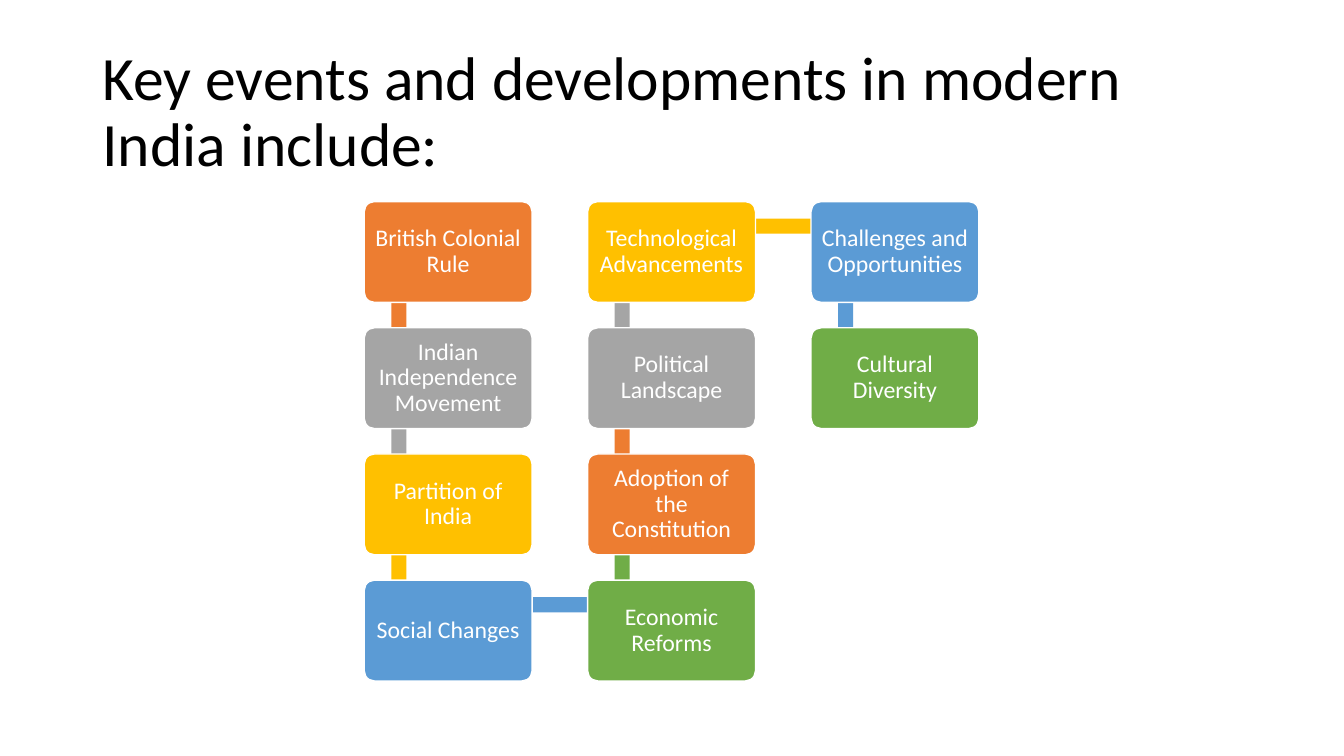
from dataclasses import dataclass

from pptx import Presentation
from pptx.dml.color import RGBColor
from pptx.enum.shapes import MSO_SHAPE
from pptx.enum.text import MSO_ANCHOR, MSO_AUTO_SIZE, PP_ALIGN
from pptx.slide import Slide
from pptx.text.text import TextFrame
from pptx.util import Cm, Pt

RECTANGLE = MSO_SHAPE.RECTANGLE
ROUNDED = MSO_SHAPE.ROUNDED_RECTANGLE
MIDDLE = MSO_ANCHOR.MIDDLE
NO_AUTOFIT = MSO_AUTO_SIZE.NONE
LEFT, CENTER = PP_ALIGN.LEFT, PP_ALIGN.CENTER

BLACK = RGBColor(0x00, 0x00, 0x00)
WHITE = RGBColor(0xFF, 0xFF, 0xFF)
ORANGE = RGBColor(0xED, 0x7D, 0x31)
GRAY = RGBColor(0xA5, 0xA5, 0xA5)
YELLOW = RGBColor(0xFF, 0xC0, 0x00)
BLUE = RGBColor(0x5B, 0x9B, 0xD5)
GREEN = RGBColor(0x70, 0xAD, 0x47)
EVENT_COLORS = (ORANGE, GRAY, YELLOW, BLUE, GREEN)

FONT = "Calibri"
HEADING = "Key events and developments in modern India include:"
EVENT_NAMES = (
    "British Colonial Rule",
    "Indian Independence Movement",
    "Partition of India",
    "Social Changes",
    "Economic Reforms",
    "Adoption of the Constitution",
    "Political Landscape",
    "Technological Advancements",
    "Challenges and Opportunities",
    "Cultural Diversity",
)

ROWS = 4
GRID_LEFT, GRID_TOP = Cm(9.18), Cm(5.08)
COLUMN_STEP, ROW_STEP = Cm(5.63), Cm(3.18)
BOX_WIDTH, BOX_HEIGHT = Cm(4.23), Cm(2.54)
BOX_INSET = Cm(0.17)
LINK_INDENT, LINK_DROP = Cm(0.87), Cm(0.62)
LINK_THICKNESS = Cm(0.38)


@dataclass(frozen=True)
class Event:
    name: str
    color: RGBColor
    column: int
    row: int

    @property
    def left(self) -> int:
        return GRID_LEFT + self.column * COLUMN_STEP

    @property
    def top(self) -> int:
        return GRID_TOP + self.row * ROW_STEP


def place_event(index: int, name: str) -> Event:
    column, step = divmod(index, ROWS)
    row = ROWS - 1 - step if column % 2 else step
    return Event(name, EVENT_COLORS[index % len(EVENT_COLORS)], column, row)


def write_text(frame: TextFrame, text: str, size: int,
               color: RGBColor, alignment: PP_ALIGN) -> None:
    frame.word_wrap = True
    frame.auto_size = NO_AUTOFIT
    frame.vertical_anchor = MIDDLE
    paragraph = frame.paragraphs[0]
    paragraph.alignment = alignment
    paragraph.line_spacing = 0.9
    run = paragraph.add_run()
    run.text = text
    run.font.name = FONT
    run.font.size = Pt(size)
    run.font.color.rgb = color


def draw_heading(slide: Slide) -> None:
    heading = slide.shapes.title
    heading.left, heading.top = Cm(2.33), Cm(1.02)
    heading.width, heading.height = Cm(29.21), Cm(3.68)
    write_text(heading.text_frame, HEADING, 44, BLACK, LEFT)


def draw_link(slide: Slide, start: Event, end: Event) -> None:
    vertical = start.column == end.column
    length = ROW_STEP if vertical else COLUMN_STEP
    center_x = (start.left + end.left) // 2 + LINK_INDENT
    center_y = (start.top + end.top) // 2 + LINK_DROP
    link = slide.shapes.add_shape(
        RECTANGLE, center_x - length // 2, center_y - LINK_THICKNESS // 2,
        length, LINK_THICKNESS)
    if vertical:
        link.rotation = 90 if end.row > start.row else 270
    link.shadow.inherit = False
    link.fill.solid()
    link.fill.fore_color.rgb = start.color
    link.line.fill.background()


def draw_event(slide: Slide, event: Event) -> None:
    box = slide.shapes.add_shape(
        ROUNDED, event.left, event.top, BOX_WIDTH, BOX_HEIGHT)
    box.adjustments[0] = 0.1
    box.shadow.inherit = False
    box.fill.solid()
    box.fill.fore_color.rgb = event.color
    box.line.color.rgb = WHITE
    box.line.width = Pt(1)
    frame = box.text_frame
    frame.margin_left = frame.margin_right = BOX_INSET
    frame.margin_top = frame.margin_bottom = BOX_INSET
    write_text(frame, event.name, 17, WHITE, CENTER)


def main() -> None:
    presentation = Presentation()
    presentation.slide_width, presentation.slide_height = Cm(33.87), Cm(19.05)
    slide = presentation.slides.add_slide(presentation.slide_layouts[5])
    draw_heading(slide)
    events = [place_event(i, name) for i, name in enumerate(EVENT_NAMES)]
    for start, end in zip(events, events[1:]):
        draw_link(slide, start, end)
    for event in events:
        draw_event(slide, event)
    presentation.save("out.pptx")


if __name__ == "__main__":
    main()
